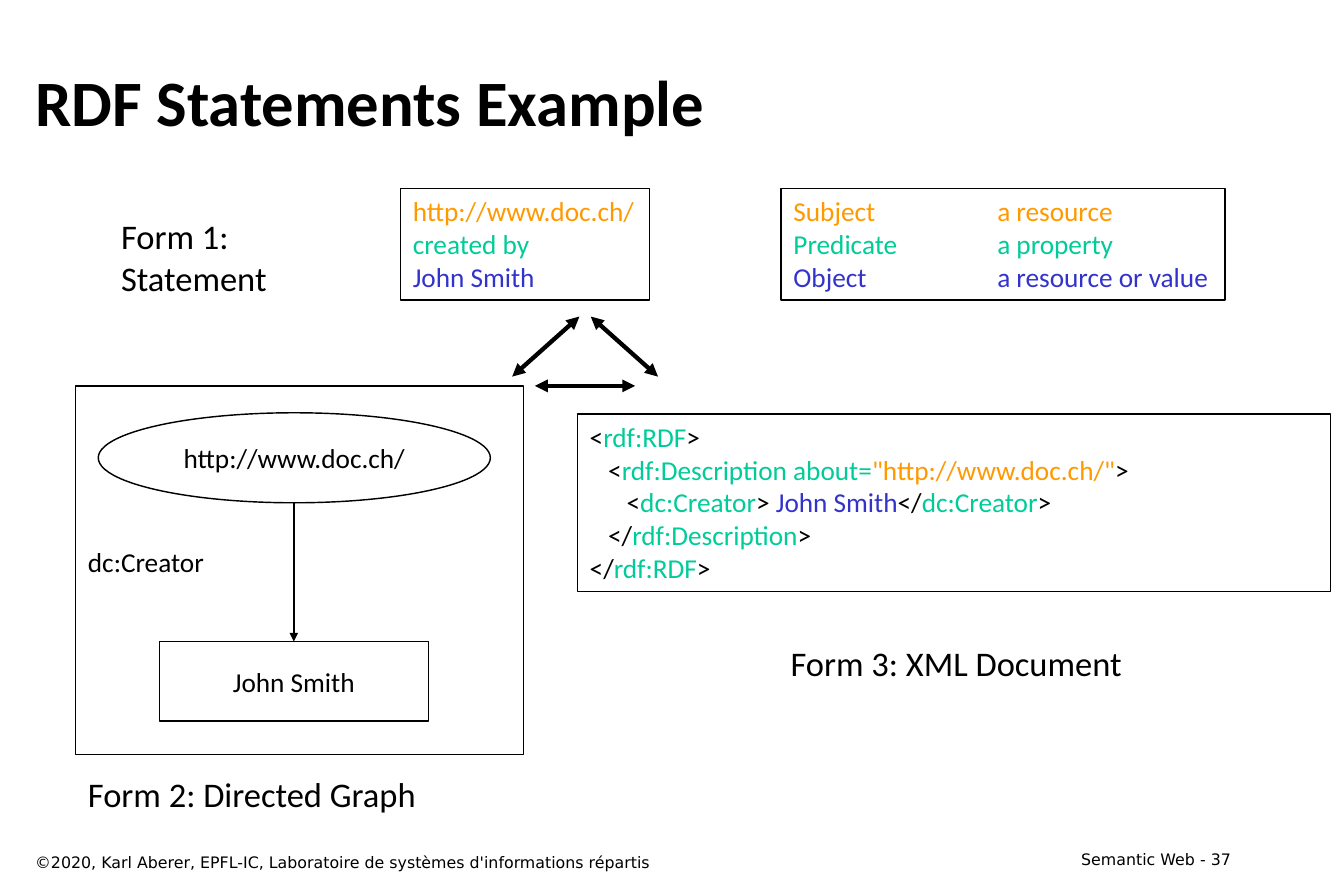
from dataclasses import dataclass

from lxml import etree
from pptx import Presentation, util as u
from pptx.dml.color import RGBColor
from pptx.enum import shapes, text
from pptx.oxml import ns

BLACK = RGBColor(0x00, 0x00, 0x00)
WHITE = RGBColor(0xFF, 0xFF, 0xFF)
ORANGE = RGBColor(0xFF, 0x99, 0x00)
GREEN = RGBColor(0x00, 0xCC, 0x99)
BLUE = RGBColor(0x33, 0x33, 0xCC)
BODY, SMALL = "Calibri", "DejaVu Sans"
LEFT, CENTER, RIGHT = text.PP_ALIGN.LEFT, text.PP_ALIGN.CENTER, text.PP_ALIGN.RIGHT
TOP, MIDDLE = text.MSO_ANCHOR.TOP, text.MSO_ANCHOR.MIDDLE
KIND = shapes.MSO_SHAPE


@dataclass
class Box:
    left: float
    top: float
    width: float
    height: float

    def point(self, x, y):
        """Return the place at x and y percent of this box."""
        return (round(self.left + self.width * x / 100),
                round(self.top + self.height * y / 100))

    def inner(self, x, y, width, height):
        """Return an inner box given in percent of this one."""
        return Box(*self.point(x, y), round(self.width * width / 100),
                   round(self.height * height / 100))

    def bounds(self):
        return self.left, self.top, self.width, self.height


def write(shape, lines, size=19, font=BODY, align=LEFT, anchor=TOP, bold=False, tab=None):
    """Fill a shape with lines, each a list of (wording, colour) runs."""
    frame = shape.text_frame
    frame.word_wrap = True
    frame.vertical_anchor = anchor
    frame.margin_left = frame.margin_right = u.Inches(0.12)
    frame.margin_top = frame.margin_bottom = u.Inches(0.06)
    for index, line in enumerate(lines):
        paragraph = frame.paragraphs[0] if index == 0 else frame.add_paragraph()
        paragraph.alignment = align
        if tab:
            tabs = etree.SubElement(paragraph._p.get_or_add_pPr(), ns.qn("a:tabLst"))
            etree.SubElement(tabs, ns.qn("a:tab"), pos=str(u.Inches(tab)), algn="l")
        for wording, color in line:
            run = paragraph.add_run()
            run.text = wording
            run.font.size = u.Pt(size)
            run.font.name = font
            run.font.bold = bold
            run.font.color.rgb = color


def add_label(slide, box, *lines, **style):
    label = slide.shapes.add_textbox(*box.bounds())
    write(label, [[(line, BLACK)] for line in lines], **style)


def add_outline(slide, box, lines=(), kind=KIND.RECTANGLE, fill=None, **style):
    shape = slide.shapes.add_shape(kind, *box.bounds())
    shape.shadow.inherit = False
    if fill is None:
        shape.fill.background()
    else:
        shape.fill.solid()
        shape.fill.fore_color.rgb = fill
    shape.line.color.rgb = BLACK
    shape.line.width = u.Pt(1)
    write(shape, lines, **style)


def add_arrow(slide, start, end, width=1, ends=("tailEnd",)):
    arrow = slide.shapes.add_connector(shapes.MSO_CONNECTOR.STRAIGHT, *start, *end)
    arrow.line.color.rgb = BLACK
    arrow.line.width = u.Pt(width)
    outline = arrow._element.spPr.find(ns.qn("a:ln"))
    for end_name in ends:
        etree.SubElement(outline, ns.qn("a:" + end_name), type="triangle")
    etree.SubElement(arrow._element.spPr, ns.qn("a:effectLst"))


def add_title(slide, box, wording):
    title = slide.shapes.title
    title.left, title.top, title.width, title.height = box.bounds()
    write(title, [[(wording, BLACK)]], size=45, bold=True, anchor=MIDDLE)


def add_statement(slide, box):
    add_label(slide, box.inner(0, 18.5, 18, 86), "Form 1:", "Statement", size=24)
    add_outline(slide, box.inner(26.14, 0, 22.34, 100), [
        [("http://www.doc.ch/", ORANGE)],
        [("created by", GREEN)],
        [("John Smith", BLUE)],
    ])
    add_outline(slide, box.inner(60.24, 0, 39.76, 100), [
        [("Subject\ta resource", ORANGE)],
        [("Predicate\ta property", GREEN)],
        [("Object\ta resource or value", BLUE)],
    ], tab=1.97)


def add_equivalence(slide, box):
    """Link the three forms with a triangle of double arrows."""
    for start, end in (((0, 86.6), (46.1, 0)),
                       ((15.6, 100), (84.4, 100)),
                       ((53.9, 0), (100, 86.6))):
        add_arrow(slide, box.point(*start), box.point(*end), width=3,
                  ends=("headEnd", "tailEnd"))


def add_graph(slide, box):
    add_outline(slide, box)
    nodes = (("http://www.doc.ch/", KIND.OVAL, (5.08, 7.3, 87.53, 24.44)),
             ("John Smith", KIND.FLOWCHART_PROCESS, (18.71, 69.38, 60.05, 21.63)))
    for wording, kind, place in nodes:
        add_outline(slide, box.inner(*place), [[(wording, BLACK)]], kind=kind,
                    fill=WHITE, align=CENTER, anchor=MIDDLE)
    add_arrow(slide, box.point(48.73, 31.74), box.point(48.73, 69.38))
    add_label(slide, box.inner(0, 41.57, 35, 12.36), "dc:Creator")
    add_label(slide, box.inner(0, 103.37, 85, 14.61), "Form 2: Directed Graph", size=24)


def add_document(slide, box):
    add_outline(slide, box, [
        [("<", BLACK), ("rdf:RDF", GREEN), (">", BLACK)],
        [("   <", BLACK), ("rdf:Description about=", GREEN),
         ('"http://www.doc.ch/"', ORANGE), (">", BLACK)],
        [("      <", BLACK), ("dc:Creator", GREEN), ("> ", BLACK), ("John Smith", BLUE),
         ("</", BLACK), ("dc:Creator", GREEN), (">", BLACK)],
        [("   </", BLACK), ("rdf:Description", GREEN), (">", BLACK)],
        [("</", BLACK), ("rdf:RDF", GREEN), (">", BLACK)],
    ])
    add_label(slide, box.inner(26.65, 125, 50, 30.23), "Form 3: XML Document", size=24)


def add_footer(slide, box):
    add_label(slide, box.inner(0, 10, 70.68, 90),
              "©2020, Karl Aberer, EPFL-IC, Laboratoire de systèmes d'informations répartis",
              size=11, font=SMALL)
    add_label(slide, box.inner(77.03, 0, 22.97, 90), "Semantic Web - 37",
              size=11, font=SMALL, align=RIGHT)


def main():
    presentation = Presentation()
    presentation.slide_width = u.Inches(12.99)
    presentation.slide_height = u.Inches(8.66)
    slide = presentation.slides.add_slide(presentation.slide_layouts.get_by_name("Title Only"))
    page = Box(0, 0, presentation.slide_width, presentation.slide_height)
    add_title(slide, page.inner(1.69, 4.5, 90.84, 13.39), "RDF Statements Example")
    add_statement(slide, page.inner(8.08, 21.02, 83.06, 12.47))
    add_document(slide, page.inner(42.96, 46.19, 56.04, 19.86))
    add_graph(slide, page.inner(5.62, 43.07, 33.33, 41.11))
    add_equivalence(slide, page.inner(38.11, 35.33, 10.85, 7.74))
    add_footer(slide, page.inner(1.69, 94.11, 90.84, 3.7))
    presentation.save("out.pptx")


if __name__ == "__main__":
    main()
